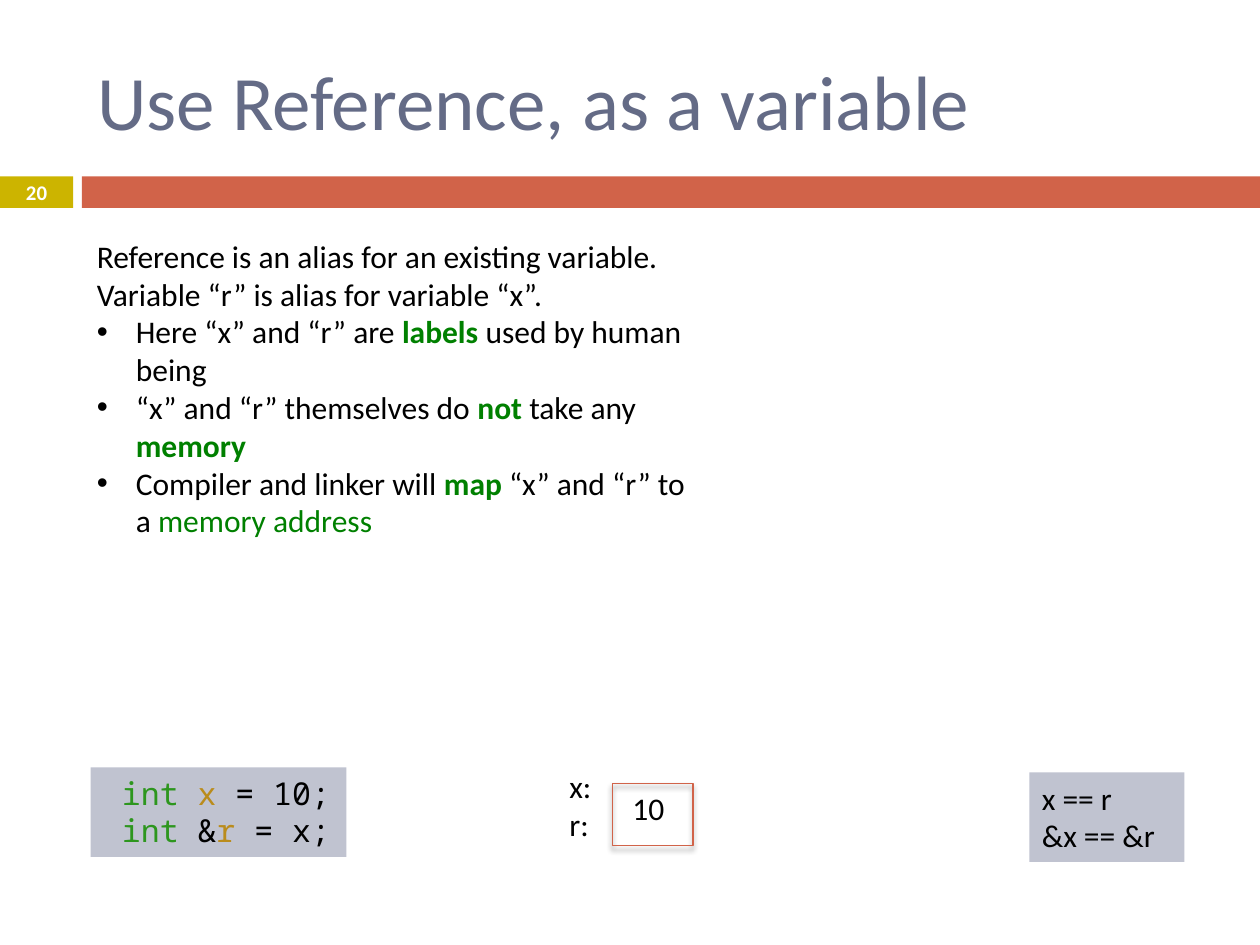
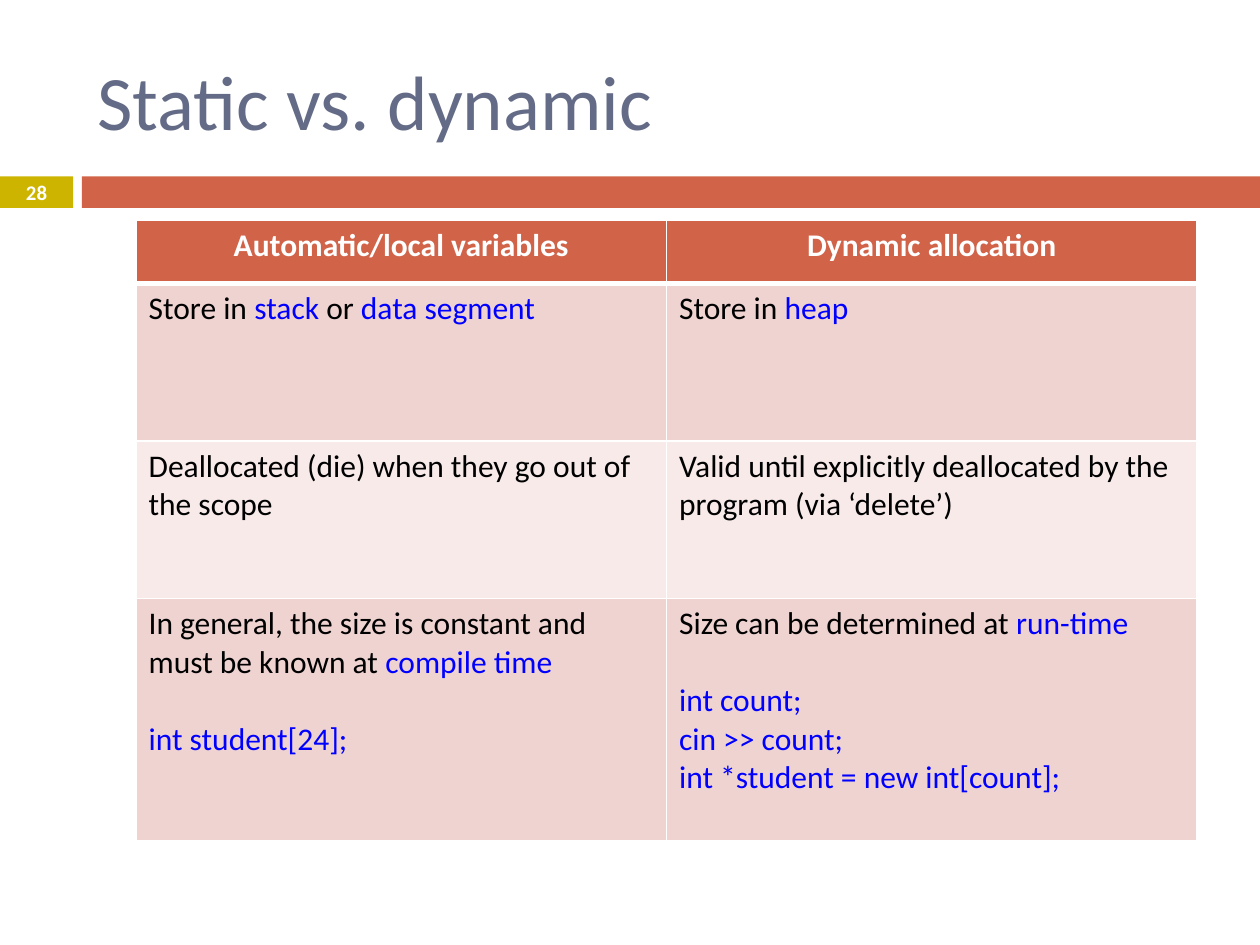
from lxml import etree
from pptx import Presentation
from pptx.dml.color import RGBColor
from pptx.enum import shapes, text
from pptx.oxml import ns
from pptx.util import Inches, Pt

COLOURS = {
    "title": "646B86", "band": "D16349", "number": "CCB400",
    "panel": "C0C3D0", "white": "FFFFFF", "black": "000000",
    "type": "2D961E", "name": "BA8C1C", "key": "008000", "term": "0000FF",
    "row_dark": "EED3D0", "row_light": "F7EAE9",
}
BODY_FONT, CODE_FONT = "Calibri", "Noto Sans Mono"


def rgb(name):
    return RGBColor.from_string(COLOURS[name])


def add_xml(parent, tag, **attributes):
    values = {key: str(value) for key, value in attributes.items()}
    return etree.SubElement(parent, ns.qn(tag), values)


def key(words):
    return (words, "key", True)


def term(words):
    return (words, "term")


class Deck:
    """Holds the shared style and the current page."""

    def __init__(self):
        self.deck = Presentation()
        self.deck.slide_width, self.deck.slide_height = Inches(10), Inches(7.5)
        self.page = None

    def add_spans(self, para, spans, size=18, font=BODY_FONT, colour="black", bold=False):
        """A span is plain text or (text, colour[, bold])."""
        for item in spans:
            words, *style = (item,) if isinstance(item, str) else item
            span = para.add_run()
            span.text = words
            span.font.size, span.font.name = Pt(size), font
            span.font.color.rgb = rgb(style[0] if style else colour)
            span.font.bold = style[1] if len(style) > 1 else bold

    def fill_frame(self, frame, lines, align=text.PP_ALIGN.LEFT, **style):
        for index, spans in enumerate(lines):
            para = frame.add_paragraph() if index else frame.paragraphs[0]
            para.alignment = align
            self.add_spans(para, spans, **style)

    def rectangle(self, left, top, width, height, fill=None, line=None):
        box = self.page.shapes.add_shape(
            shapes.MSO_SHAPE.RECTANGLE,
            Inches(left), Inches(top), Inches(width), Inches(height))
        box.shadow.inherit = False
        if fill:
            box.fill.solid()
            box.fill.fore_color.rgb = rgb(fill)
        else:
            box.fill.background()
        if line:
            box.line.color.rgb = rgb(line)
            box.line.width = Pt(0.79)
        else:
            box.line.fill.background()
        return box

    def drop_shadow(self, box):
        effects = box._element.spPr.find(ns.qn("a:effectLst"))
        shadow = add_xml(effects, "a:outerShdw", blurRad=Pt(3), dist=Pt(2.4),
                         dir=90 * 60000, rotWithShape=0)
        colour = add_xml(shadow, "a:srgbClr", val=COLOURS["black"])
        add_xml(colour, "a:alpha", val=45000)

    def text_box(self, left, top, width, height, lines, wrap=False, fill=None, **style):
        box = self.page.shapes.add_textbox(
            Inches(left), Inches(top), Inches(width), Inches(height))
        if fill:
            box.fill.solid()
            box.fill.fore_color.rgb = rgb(fill)
        frame = box.text_frame
        frame.word_wrap = wrap
        frame.auto_size = text.MSO_AUTO_SIZE.SHAPE_TO_FIT_TEXT
        self.fill_frame(frame, lines, **style)
        return box

    def bullet(self, para):
        properties = para._p.get_or_add_pPr()
        properties.set("marL", str(Inches(0.31)))
        properties.set("indent", str(Inches(-0.31)))
        add_xml(properties, "a:buFont", typeface="Arial")
        add_xml(properties, "a:buChar", char="•")

    def new_page(self, title, number):
        self.page = self.deck.slides.add_slide(self.deck.slide_layouts[5])
        # Title
        box = self.page.shapes.title
        box.left, box.top = Inches(0.67), Inches(0.25)
        box.width, box.height = Inches(8.92), Inches(1.08)
        frame = box.text_frame
        frame.auto_size = text.MSO_AUTO_SIZE.NONE
        frame.vertical_anchor = text.MSO_ANCHOR.MIDDLE
        self.fill_frame(frame, [[title]], size=44, colour="title")
        # Band and page number
        self.rectangle(0.65, 1.4, 9.35, 0.25, fill="band")
        tab = self.rectangle(0, 1.4, 0.58, 0.25, fill="number").text_frame
        tab.margin_top = tab.margin_bottom = 0
        tab.vertical_anchor = text.MSO_ANCHOR.MIDDLE
        self.fill_frame(tab, [[str(number)]], align=text.PP_ALIGN.CENTER,
                        size=11.9, colour="white", bold=True)

    def cell_borders(self, cell, **widths):
        properties = cell._tc.get_or_add_tcPr()
        for side in "LRTB":
            line = add_xml(properties, "a:ln" + side, w=Pt(widths.get(side, 1)))
            paint = add_xml(line, "a:solidFill")
            add_xml(paint, "a:srgbClr", val=COLOURS["white"])

    def table(self, left, top, widths, heights, rows):
        table = self.page.shapes.add_table(
            len(rows), len(widths), Inches(left), Inches(top),
            Inches(sum(widths)), Inches(sum(heights))).table
        table.horz_banding = False
        for column, width in zip(table.columns, widths):
            column.width = Inches(width)
        for r, (height, row) in enumerate(zip(heights, rows)):
            table.rows[r].height = Inches(height)
            for c, lines in enumerate(row):
                cell = table.cell(r, c)
                self.cell_borders(cell, T=3 if r == 1 else 1, B=1 if r else 3)
                cell.fill.solid()
                if r == 0:
                    cell.fill.fore_color.rgb = rgb("band")
                    self.fill_frame(cell.text_frame, lines, colour="white",
                                    bold=True, align=text.PP_ALIGN.CENTER)
                else:
                    cell.fill.fore_color.rgb = rgb("row_dark" if r % 2 else "row_light")
                    self.fill_frame(cell.text_frame, lines)
        return table


def reference_page(deck):
    deck.new_page("Use Reference, as a variable", 20)
    # Code, memory cell and resulting equalities
    deck.text_box(0.72, 6.09, 2.03, 0.71, [
        [" ", ("int ", "type"), ("x", "name"), " = 10;"],
        [" ", ("int ", "type"), "&", ("r", "name"), " = x;"],
    ], fill="panel", font=CODE_FONT)
    memory_cell = deck.rectangle(4.86, 6.22, 0.64, 0.49, line="band")
    deck.drop_shadow(memory_cell)
    deck.text_box(4.92, 6.21, 0.48, 0.4, [["10"]])
    deck.text_box(4.42, 6.04, 0.38, 0.71, [["x:"], ["r:"]])
    deck.text_box(8.17, 6.13, 1.23, 0.71, [["x == r"], ["&x == &r"]], fill="panel")
    # Explanation
    explanation = deck.text_box(0.67, 1.83, 4.92, 2.52, [
        ["Reference is an alias for an existing variable."],
        ["Variable “r” is alias for variable “x”."],
        ["Here “x” and “r” are ", key("labels "), "used by human being"],
        ["“x” and “r” themselves do ", key("not "), "take any ", key("memory")],
        ["Compiler and linker will ", key("map "), "“x” and “r” to a ",
         ("memory address", "key")],
    ], wrap=True)
    for para in explanation.text_frame.paragraphs[2:]:
        deck.bullet(para)


def allocation_page(deck):
    deck.new_page("Static vs. dynamic", 28)
    table = deck.table(1.08, 1.75, [4.21, 4.21], [0.5, 1.25, 1.25, 1.92], [
        [[["Automatic/local variables"]], [["Dynamic allocation"]]],
        [[["Store in ", term("stack "), "or ", term("data segment")]],
         [["Store in ", term("heap")]]],
        [[["Deallocated (die) when they go out of the scope"]],
         [["Valid until explicitly deallocated by the program (via ‘delete’)"]]],
        [[["In general, the size is constant and must be known at ",
           term("compile time")],
          [term("int student[24];")]],
         [["Size can be determined at ", term("run-time")],
          [term("int count;")],
          [term("cin >> count;")],
          [term("int *student = new int[count];")]]],
    ])
    # One line of space above each code sample
    for cell in table.rows[3].cells:
        cell.text_frame.paragraphs[1].space_before = Pt(22)


def main():
    deck = Deck()
    reference_page(deck)
    allocation_page(deck)
    deck.deck.save("out.pptx")


if __name__ == "__main__":
    main()
